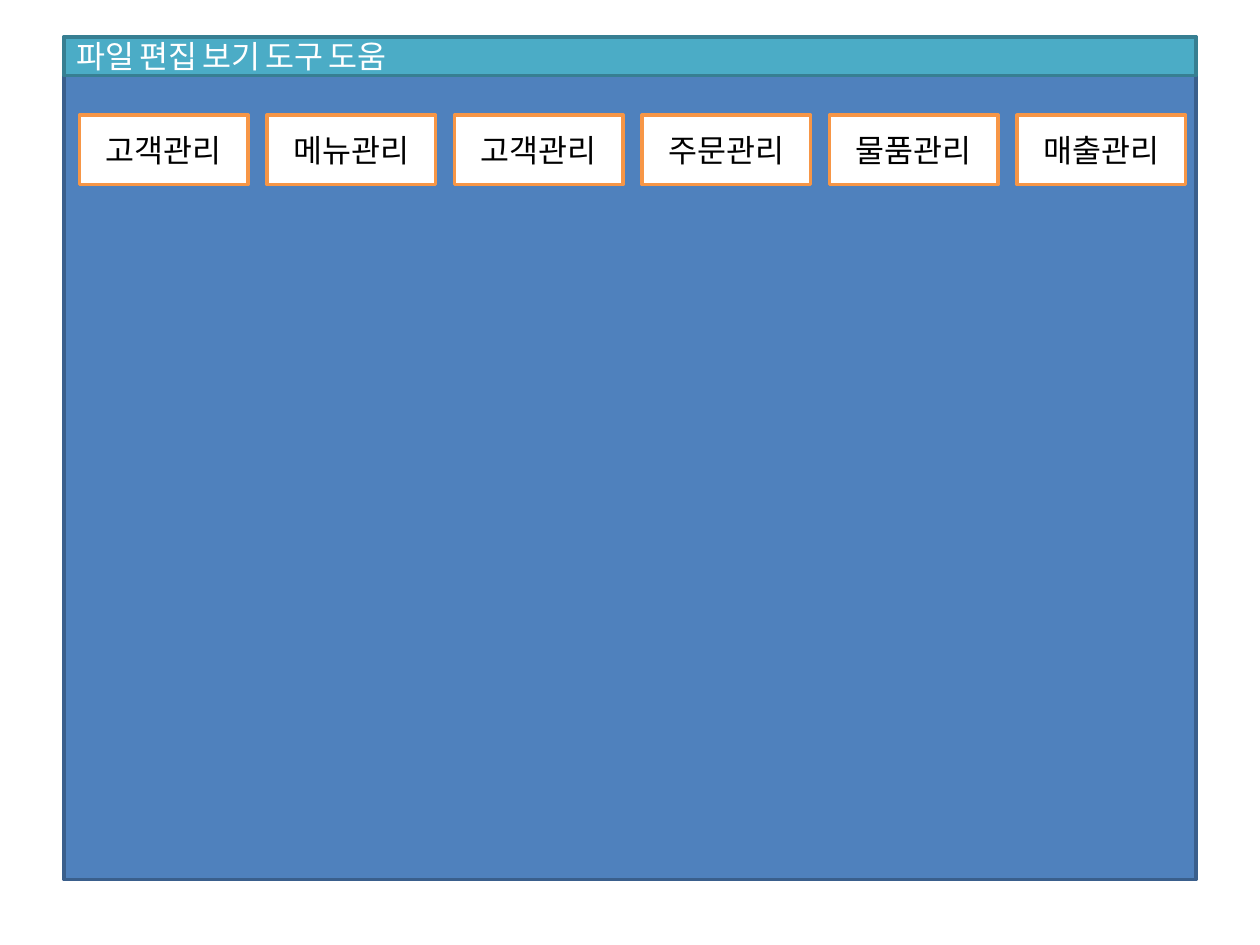
from lxml.etree import SubElement
from pptx import Presentation
from pptx.dml.color import RGBColor
from pptx.enum.shapes import MSO_SHAPE
from pptx.enum.text import MSO_ANCHOR, PP_ALIGN
from pptx.oxml.ns import qn
from pptx.util import Pt


def color(hex_string):
    return RGBColor.from_string(hex_string)


class Screen:
    font_name = "Noto Sans CJK KR"
    font_size = 18
    line_width = 2

    def __init__(self, slide):
        self.slide = slide

    def panel(self, left, top, width, height, fill, line):
        shape = self.slide.shapes.add_shape(
            MSO_SHAPE.RECTANGLE, Pt(left), Pt(top), Pt(width), Pt(height))
        shape.shadow.inherit = False
        shape.fill.solid()
        shape.fill.fore_color.rgb = color(fill)
        shape.line.color.rgb = color(line)
        shape.line.width = Pt(self.line_width)
        return shape

    def label(self, shape, text, text_color, alignment):
        text_frame = shape.text_frame
        text_frame.text = text
        text_frame.word_wrap = True
        text_frame.vertical_anchor = MSO_ANCHOR.MIDDLE
        paragraph = text_frame.paragraphs[0]
        paragraph.alignment = alignment
        for run in paragraph.runs:
            run.font.size = Pt(self.font_size)
            run.font.color.rgb = color(text_color)
            run.font.name = self.font_name
            east_asian = SubElement(run.font._element, qn("a:ea"))
            east_asian.set("typeface", self.font_name)

    def button(self, left, top, width, height, text):
        shape = self.panel(left, top, width, height, "FFFFFF", "F79646")
        self.label(shape, text, "000000", PP_ALIGN.CENTER)

    def menu_bar(self, left, top, width, height, items):
        shape = self.panel(left, top, width, height, "4BACC6", "377F92")
        self.label(shape, "\t".join(items), "FFFFFF", PP_ALIGN.LEFT)


WINDOW_LEFT, WINDOW_TOP, WINDOW_WIDTH = 36.6, 21, 646.8
BUTTON_LEFT, BUTTON_PITCH = 45.4, 107.15
BUTTONS = ["고객관리", "메뉴관리", "고객관리", "주문관리", "물품관리", "매출관리"]
MENUS = ["파일", "편집", "보기", "도구", "도움"]

presentation = Presentation()
presentation.slide_width = Pt(720)
presentation.slide_height = Pt(540)
screen = Screen(presentation.slides.add_slide(presentation.slide_layouts[6]))

screen.panel(WINDOW_LEFT, WINDOW_TOP, WINDOW_WIDTH, 481.6, "4F81BD", "3A5F8C")
for index, text in enumerate(BUTTONS):
    screen.button(BUTTON_LEFT + index * BUTTON_PITCH, 65.8, 96.4, 39.6, text)
screen.menu_bar(WINDOW_LEFT, WINDOW_TOP, WINDOW_WIDTH, 22.2, MENUS)

presentation.save("out.pptx")
